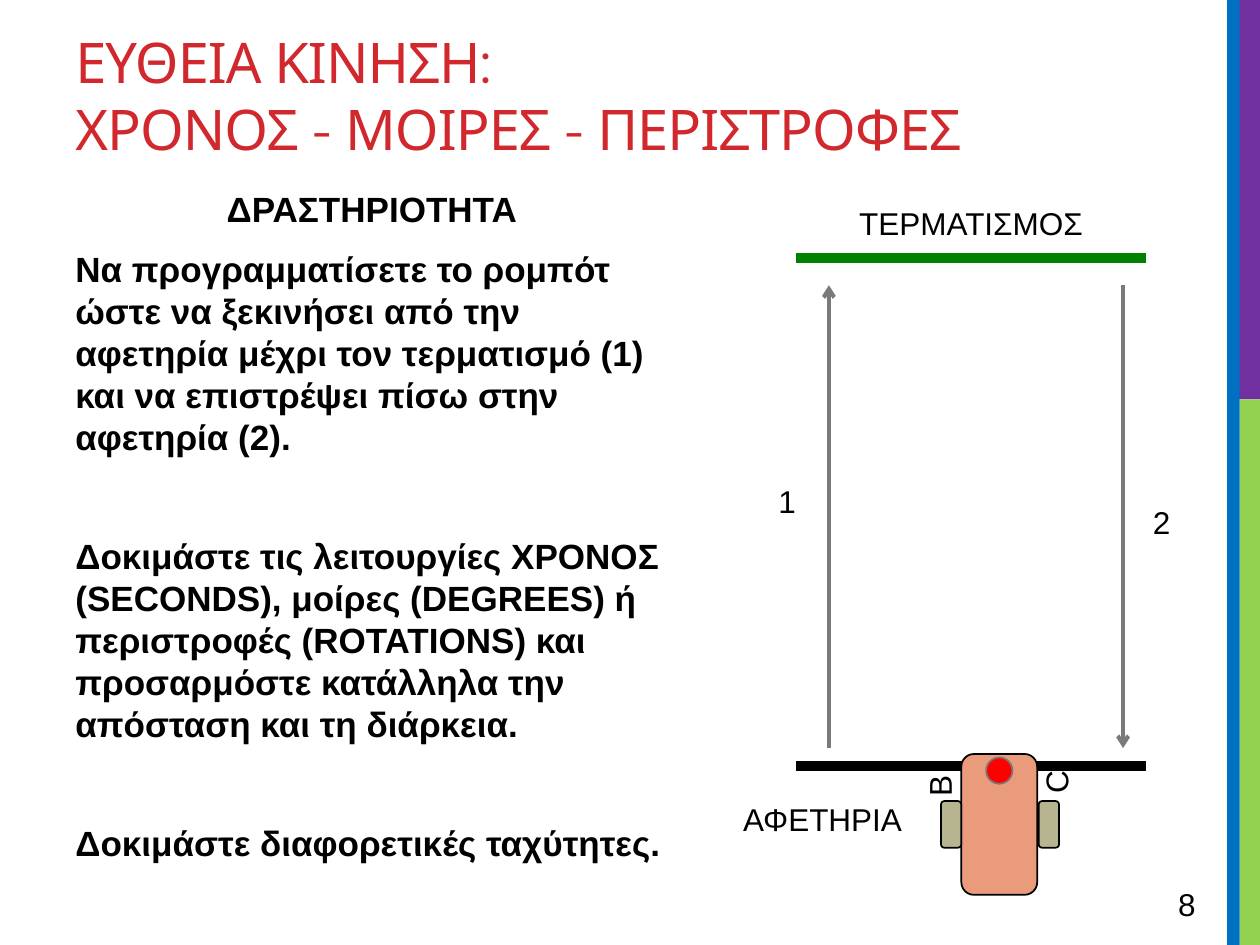
from lxml import etree
from pptx import Presentation
from pptx.dml.color import RGBColor
from pptx.enum.shapes import MSO_CONNECTOR, MSO_SHAPE
from pptx.enum.text import MSO_ANCHOR, PP_ALIGN
from pptx.oxml.ns import qn
from pptx.util import Cm, Pt

RECTANGLE = MSO_SHAPE.RECTANGLE
ROUNDED = MSO_SHAPE.ROUNDED_RECTANGLE
OVAL = MSO_SHAPE.OVAL
STRAIGHT = MSO_CONNECTOR.STRAIGHT
TOP = MSO_ANCHOR.TOP
LEFT, CENTER = PP_ALIGN.LEFT, PP_ALIGN.CENTER

COLORS = {
    "title": "D1282E", "text": "000000", "outline": "000000",
    "green": "92D050", "purple": "7030A0", "blue": "0070C0",
    "finish": "008000", "start": "000000", "arrow": "7A7A7A",
    "robot": "EA9B7C", "wheel": "B6B590",
    "sensor": "FF0000", "sensor_outline": "777777",
}
TEXT_FONT, TITLE_FONT = "Arial", "Montserrat"

# Text, alignment, space before in points
ACTIVITY = [
    ("ΔΡΑΣΤΗΡΙΟΤΗΤΑ ", CENTER, 0),
    ("Να προγραμματίσετε το ρομπότ ώστε να ξεκινήσει από την αφετηρία μέχρι "
     "τον τερματισμό (1) και να επιστρέψει πίσω στην αφετηρία (2).", LEFT, 4),
    ("Δοκιμάστε τις λειτουργίες ΧΡΟΝΟΣ (SECONDS), μοίρες (DEGREES) ή "
     "περιστροφές (ROTATIONS) και προσαρμόστε κατάλληλα την απόσταση και "
     "τη διάρκεια.", LEFT, 38),
    ("Δοκιμάστε διαφορετικές ταχύτητες.", LEFT, 38),
]


def color(name):
    return RGBColor.from_string(COLORS[name])


def set_font(font, name, size, color_name, bold=False):
    font.name, font.size, font.bold = name, Pt(size), bold
    font.color.rgb = color(color_name)


def add_block(shapes, kind, box, fill, outline=None):
    shape = shapes.add_shape(kind, *map(Cm, box))
    shape.shadow.inherit = False
    shape.fill.solid()
    shape.fill.fore_color.rgb = color(fill)
    if outline:
        shape.line.color.rgb = color(outline)
        shape.line.width = Pt(1)
    else:
        shape.line.fill.background()


def add_line(shapes, start, end, color_name, width, arrow=False):
    connector = shapes.add_connector(STRAIGHT, *map(Cm, start + end))
    connector.line.color.rgb = color(color_name)
    connector.line.width = Pt(width)
    if arrow:
        etree.SubElement(connector.line._get_or_add_ln(), qn("a:tailEnd"), type="arrow")
    etree.SubElement(connector._element.spPr, qn("a:effectLst"))


def add_text_frame(shapes, box, rotation=0):
    shape = shapes.add_textbox(*map(Cm, box))
    shape.rotation = rotation
    frame = shape.text_frame
    frame.word_wrap = True
    frame.vertical_anchor = TOP
    return frame


def add_label(shapes, text, box, rotation=0):
    paragraph = add_text_frame(shapes, box, rotation).paragraphs[0]
    paragraph.text = text
    set_font(paragraph.font, TEXT_FONT, 18, "text")


def add_title(shapes):
    paragraph = add_text_frame(shapes, (1.27, 0.43, 22.91, 3.81)).paragraphs[0]
    paragraph.text = "ΕΥΘΕΙΑ ΚΙΝΗΣΗ: \vΧΡΟΝΟΣ - ΜΟΙΡΕΣ - ΠΕΡΙΣΤΡΟΦΕΣ"
    set_font(paragraph.font, TITLE_FONT, 32, "title")
    # Tight letter spacing without pair kerning
    for run in paragraph.runs:
        properties = run._r.get_or_add_rPr()
        properties.set("spc", "-60")
        properties.set("kern", "0")


def add_activity(shapes):
    frame = add_text_frame(shapes, (1.27, 3.66, 12.65, 14.38))
    for index, (text, alignment, space_before) in enumerate(ACTIVITY):
        paragraph = frame.add_paragraph() if index else frame.paragraphs[0]
        paragraph.text = text
        paragraph.alignment = alignment
        paragraph.space_before = Pt(space_before)
        paragraph.space_after = Pt(6)
        set_font(paragraph.font, TEXT_FONT, 20, "text", bold=True)


def add_track(shapes):
    for y, name in ((5.2, "finish"), (15.44, "start")):
        add_line(shapes, (23.1, y), (16.05, y), name, 6)
    far, near = 5.75, 15.08
    add_line(shapes, (16.71, near), (16.71, far), "arrow", 2.25, arrow=True)
    add_line(shapes, (22.64, far), (22.64, near), "arrow", 2.25, arrow=True)
    for text, left, top, width in (
        ("1", 15.44, 9.59, 0.86),
        ("2", 22.99, 10.01, 0.86),
        ("ΤΕΡΜΑΤΙΣΜΟΣ", 17.07, 3.99, 5.56),
        ("ΑΦΕΤΗΡΙΑ", 14.73, 16, 3.96),
    ):
        add_label(shapes, text, (left, top, width, 1.02))


def add_robot(shapes):
    parts = shapes.add_group_shape().shapes
    add_block(parts, ROUNDED, (19.38, 15.2, 1.53, 2.84), "robot", "outline")
    for left in (20.94, 18.97):
        add_block(parts, ROUNDED, (left, 16.15, 0.41, 0.94), "wheel", "outline")
    add_block(parts, OVAL, (19.88, 15.27, 0.53, 0.53), "sensor", "sensor_outline")
    # Motor ports, read from the bottom up
    for port, left, top in (("B", 18.24, 15.35), ("C", 20.59, 15.29)):
        add_label(parts, port, (left, top, 1.14, 0.76), rotation=270)


def main():
    presentation = Presentation()
    presentation.slide_width, presentation.slide_height = Cm(25.4), Cm(19.05)
    slide = presentation.slides.add_slide(presentation.slide_layouts[6])
    shapes = slide.shapes

    # Side bars
    add_block(shapes, RECTANGLE, (24.99, 8.05, 0.41, 11), "green")
    add_block(shapes, RECTANGLE, (24.89, 0, 0.51, 8.05), "purple")
    add_block(shapes, RECTANGLE, (24.74, 0, 0.25, 19.05), "blue")

    # Heading and instructions
    add_title(shapes)
    add_activity(shapes)

    # Diagram
    add_track(shapes)
    add_robot(shapes)

    # Page number
    add_label(shapes, "8", (23.5, 17.71, 1.75, 1.02))
    presentation.save("out.pptx")


if __name__ == "__main__":
    main()
